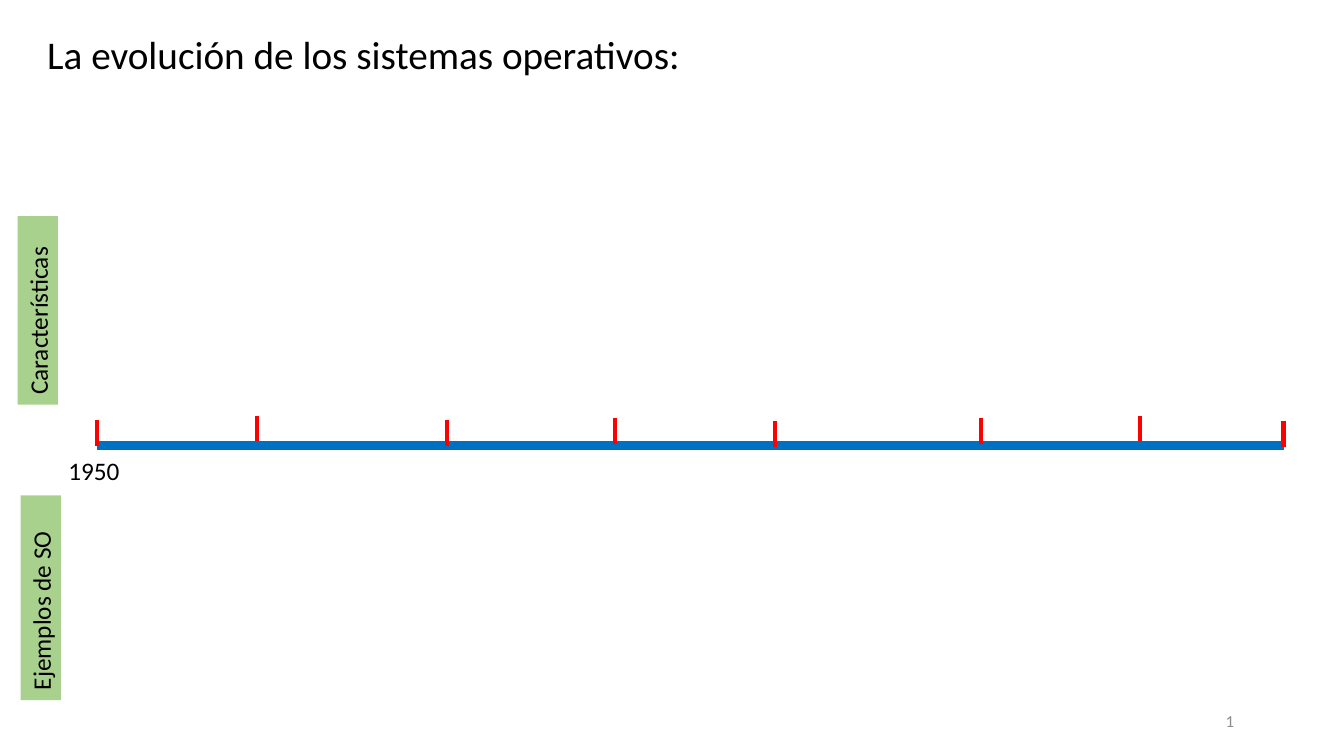
from dataclasses import dataclass

from lxml import etree
from pptx import Presentation
from pptx.dml.color import RGBColor
from pptx.enum import shapes, text
from pptx.oxml.ns import qn
from pptx.util import Inches, Pt


@dataclass(frozen=True)
class Theme:
    font: str = "Calibri"
    ink: str = "000000"
    muted: str = "8C8C8C"
    axis: str = "0070C0"
    tick: str = "FF0000"
    label: str = "A9D18E"
    title_size: int = 28
    body_size: int = 18
    number_size: int = 12


class TimelineSlide:
    """Draws the parts of a timeline on one slide in one style."""

    def __init__(self, slide, theme):
        self.slide = slide
        self.theme = theme

    def add_words(self, frame, words, size, color):
        run = frame.paragraphs[0].add_run()
        run.text = words
        run.font.name = self.theme.font
        run.font.size = Pt(size)
        run.font.color.rgb = RGBColor.from_string(color)

    def caption(self, words, left, top, width, height, size):
        box = self.slide.shapes.add_textbox(*map(Inches, (left, top, width, height)))
        box.text_frame.word_wrap = False
        box.text_frame.auto_size = text.MSO_AUTO_SIZE.SHAPE_TO_FIT_TEXT
        self.add_words(box.text_frame, words, size, self.theme.ink)

    def page_number(self, words, left, top, width, height):
        box = self.slide.shapes.add_textbox(*map(Inches, (left, top, width, height)))
        frame = box.text_frame
        frame.word_wrap = True
        frame.margin_right = Inches(0.18)
        frame.vertical_anchor = text.MSO_ANCHOR.MIDDLE
        frame.paragraphs[0].alignment = text.PP_ALIGN.RIGHT
        self.add_words(frame, words, self.theme.number_size, self.theme.muted)

    def side_label(self, words, left, top, width, height):
        band = self.slide.shapes.add_shape(
            shapes.MSO_SHAPE.RECTANGLE, *map(Inches, (left, top, width, height)))
        band.rotation = 270
        band.shadow.inherit = False
        band.fill.solid()
        band.fill.fore_color.rgb = RGBColor.from_string(self.theme.label)
        band.line.fill.background()
        frame = band.text_frame
        frame.word_wrap = False
        frame.auto_size = text.MSO_AUTO_SIZE.SHAPE_TO_FIT_TEXT
        frame.vertical_anchor = text.MSO_ANCHOR.TOP
        frame.paragraphs[0].alignment = text.PP_ALIGN.LEFT
        self.add_words(frame, words, self.theme.body_size, self.theme.ink)

    def line(self, x1, y1, x2, y2, color, weight):
        stroke = self.slide.shapes.add_connector(
            shapes.MSO_CONNECTOR.STRAIGHT, *map(Inches, (x1, y1, x2, y2)))
        stroke.line.color.rgb = RGBColor.from_string(color)
        stroke.line.width = Pt(weight)
        etree.SubElement(stroke._element.spPr, qn("a:effectLst"))


def main():
    deck = Presentation()
    deck.slide_width, deck.slide_height = Inches(13.33), Inches(7.5)
    theme = Theme()
    timeline = TimelineSlide(deck.slides.add_slide(deck.slide_layouts[6]), theme)

    start, end, axis_y, tick_height = 0.96, 12.73, 4.42, 0.25
    tick_tops = [(start, 4.17), (2.55, 4.13), (4.43, 4.17), (6.1, 4.15),
                 (7.69, 4.18), (9.73, 4.15), (11.31, 4.13), (end, 4.18)]

    timeline.page_number("1", 9.42, 6.95, 3, 0.4)
    timeline.line(start, axis_y, end, axis_y, theme.axis, 6)
    timeline.caption("1950", 0.58, 4.47, 0.76, 0.4, theme.body_size)
    for x, top in tick_tops:
        timeline.line(x, top, x, top + tick_height, theme.tick, 3)
    timeline.side_label("Características", -0.56, 2.88, 1.87, 0.4)
    timeline.side_label("Ejemplos de SO", -0.61, 5.73, 2.03, 0.4)
    timeline.caption("La evolución de los sistemas operativos:",
                     0.37, 0.25, 6.54, 0.57, theme.title_size)
    deck.save("out.pptx")


if __name__ == "__main__":
    main()
